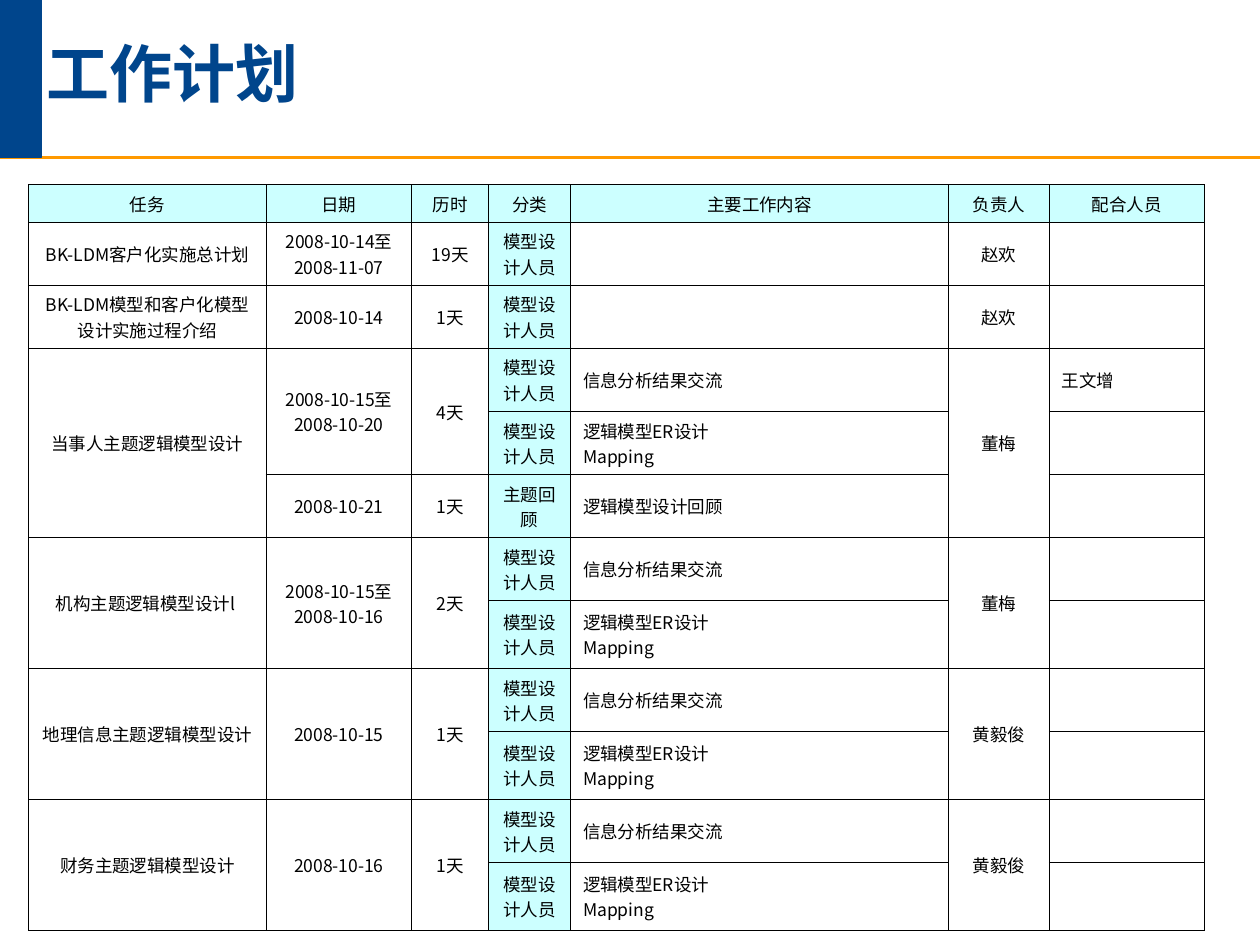
"""Build the work plan slide: a titled page with a task schedule table."""
import dataclasses

import lxml.etree
import pptx
import pptx.dml.color
import pptx.enum.shapes
import pptx.enum.text
import pptx.oxml.ns
import pptx.util

Cm = pptx.util.Cm
Pt = pptx.util.Pt
qn = pptx.oxml.ns.qn
ALIGN = pptx.enum.text.PP_ALIGN
MIDDLE = pptx.enum.text.MSO_ANCHOR.MIDDLE

COLORS = {
    "navy": "00458C",
    "orange": "FF9900",
    "header": "CCFFFF",
    "text": "000000",
    "border": "000000",
}
FONT = "Noto Sans CJK SC"
HEADERS = ["任务", "日期", "历时", "分类", "主要工作内容", "负责人", "配合人员"]
TASK, DATE, DURATION, CATEGORY, CONTENT, OWNER, HELPER = range(7)
COLUMN_WIDTHS = [4.78, 2.94, 1.55, 1.65, 7.62, 2.03, 3.12]
HEADER_HEIGHT, ROW_HEIGHT, TALL_HEIGHT = 0.76, 1.27, 1.37
DESIGNER = "模型设计人员"


@dataclasses.dataclass
class Step:
    content: str = ""
    category: str = DESIGNER
    helper: str = ""
    height: float = ROW_HEIGHT


@dataclasses.dataclass
class Period:
    date: str
    duration: str
    steps: list[Step]


@dataclasses.dataclass
class Task:
    name: str
    owner: str
    periods: list[Period]


EXCHANGE = Step("信息分析结果交流")
MAPPING = Step("逻辑模型ER设计\vMapping", height=TALL_HEIGHT)
DESIGN_STEPS = [EXCHANGE, MAPPING]

TASKS = [
    Task("BK-LDM客户化实施总计划", "赵欢",
         [Period("2008-10-14至2008-11-07", "19天", [Step()])]),
    Task("BK-LDM模型和客户化模型设计实施过程介绍", "赵欢",
         [Period("2008-10-14", "1天", [Step()])]),
    Task("当事人主题逻辑模型设计", "董梅", [
        Period("2008-10-15至2008-10-20", "4天", [
            dataclasses.replace(EXCHANGE, helper="王文增"),
            dataclasses.replace(MAPPING, height=ROW_HEIGHT),
        ]),
        Period("2008-10-21", "1天", [Step("逻辑模型设计回顾", "主题回顾")]),
    ]),
    Task("机构主题逻辑模型设计l ", "董梅",
         [Period("2008-10-15至2008-10-16", "2天", DESIGN_STEPS)]),
    Task("地理信息主题逻辑模型设计", "黄毅俊",
         [Period("2008-10-15", "1天", DESIGN_STEPS)]),
    Task("财务主题逻辑模型设计", "黄毅俊",
         [Period("2008-10-16", "1天", DESIGN_STEPS)]),
]


def rgb(name: str) -> pptx.dml.color.RGBColor:
    return pptx.dml.color.RGBColor.from_string(COLORS[name])


def format_runs(paragraph, size: float, color: str, bold: bool = False) -> None:
    for run in paragraph.runs:
        run.font.size = Pt(size)
        run.font.bold = bold
        run.font.name = FONT
        run.font.color.rgb = rgb(color)
        east_asian = lxml.etree.Element(qn("a:ea"), typeface=FONT)
        run.font._element.find(qn("a:latin")).addnext(east_asian)


def add_borders(cell) -> None:
    properties = cell._tc.get_or_add_tcPr()
    for index, side in enumerate(("lnL", "lnR", "lnT", "lnB")):
        line = lxml.etree.Element(qn(f"a:{side}"), w=str(int(Pt(0.45))))
        fill = lxml.etree.SubElement(line, qn("a:solidFill"))
        lxml.etree.SubElement(fill, qn("a:srgbClr"), val=COLORS["border"])
        properties.insert(index, line)


def write_cell(table, row: int, column: int, text: str, span: int = 1) -> None:
    cell = table.cell(row, column)
    if span > 1:
        cell.merge(table.cell(row + span - 1, column))
    cell.text_frame.text = text
    cell.vertical_anchor = MIDDLE
    is_left = row > 0 and column in (CONTENT, HELPER)
    for paragraph in cell.text_frame.paragraphs:
        paragraph.alignment = ALIGN.LEFT if is_left else ALIGN.CENTER
        format_runs(paragraph, 10, "text")


def style_grid(table) -> None:
    for row_index, row in enumerate(table.rows):
        for column_index, cell in enumerate(row.cells):
            if row_index == 0 or column_index == CATEGORY:
                cell.fill.solid()
                cell.fill.fore_color.rgb = rgb("header")
            else:
                cell.fill.background()
            add_borders(cell)


def add_schedule(slide, tasks: list[Task]) -> None:
    steps = [step for task in tasks for period in task.periods for step in period.steps]
    heights = [HEADER_HEIGHT] + [step.height for step in steps]
    frame = slide.shapes.add_table(
        len(heights), len(HEADERS), Cm(0.58), Cm(3.72),
        Cm(sum(COLUMN_WIDTHS)), Cm(sum(heights)))
    table = frame.table
    table.first_row = False
    table.horz_banding = False
    for column, width in zip(table.columns, COLUMN_WIDTHS):
        column.width = Cm(width)
    for row, height in zip(table.rows, heights):
        row.height = Cm(height)
    style_grid(table)

    for column, header in enumerate(HEADERS):
        write_cell(table, 0, column, header)
    row = 1
    for task in tasks:
        task_span = sum(len(period.steps) for period in task.periods)
        write_cell(table, row, TASK, task.name, task_span)
        write_cell(table, row, OWNER, task.owner, task_span)
        for period in task.periods:
            write_cell(table, row, DATE, period.date, len(period.steps))
            write_cell(table, row, DURATION, period.duration, len(period.steps))
            for step in period.steps:
                write_cell(table, row, CATEGORY, step.category)
                write_cell(table, row, CONTENT, step.content)
                write_cell(table, row, HELPER, step.helper)
                row += 1


def add_header_band(slide, width: int, height: int) -> None:
    rule = slide.shapes.add_connector(
        pptx.enum.shapes.MSO_CONNECTOR.STRAIGHT, 0, height, width, height)
    rule.line.color.rgb = rgb("orange")
    rule.line.width = Pt(1.5)
    lxml.etree.SubElement(rule._element.spPr, qn("a:effectLst"))

    block = slide.shapes.add_shape(
        pptx.enum.shapes.MSO_SHAPE.RECTANGLE, 0, 0, Cm(0.84), height)
    block.shadow.inherit = False
    block.fill.solid()
    block.fill.fore_color.rgb = rgb("navy")
    block.line.color.rgb = rgb("navy")
    block.line.width = Pt(1)


def set_title(slide, text: str, height: int) -> None:
    title = slide.shapes.title
    title.left, title.top, title.width, title.height = Cm(0.69), 0, Cm(23.7), height
    frame = title.text_frame
    frame.text = text
    frame.auto_size = pptx.enum.text.MSO_AUTO_SIZE.NONE
    frame.vertical_anchor = MIDDLE
    paragraph = frame.paragraphs[0]
    paragraph.alignment = ALIGN.LEFT
    paragraph.line_spacing = 0.85
    format_runs(paragraph, 36, "navy", bold=True)


def main() -> None:
    presentation = pptx.Presentation()
    presentation.slide_width = Cm(25.4)
    presentation.slide_height = Cm(19.05)
    slide = presentation.slides.add_slide(presentation.slide_layouts[5])
    band_height = Cm(3.17)
    add_header_band(slide, presentation.slide_width, band_height)
    set_title(slide, "工作计划", band_height)
    add_schedule(slide, TASKS)
    presentation.save("out.pptx")


if __name__ == "__main__":
    main()
